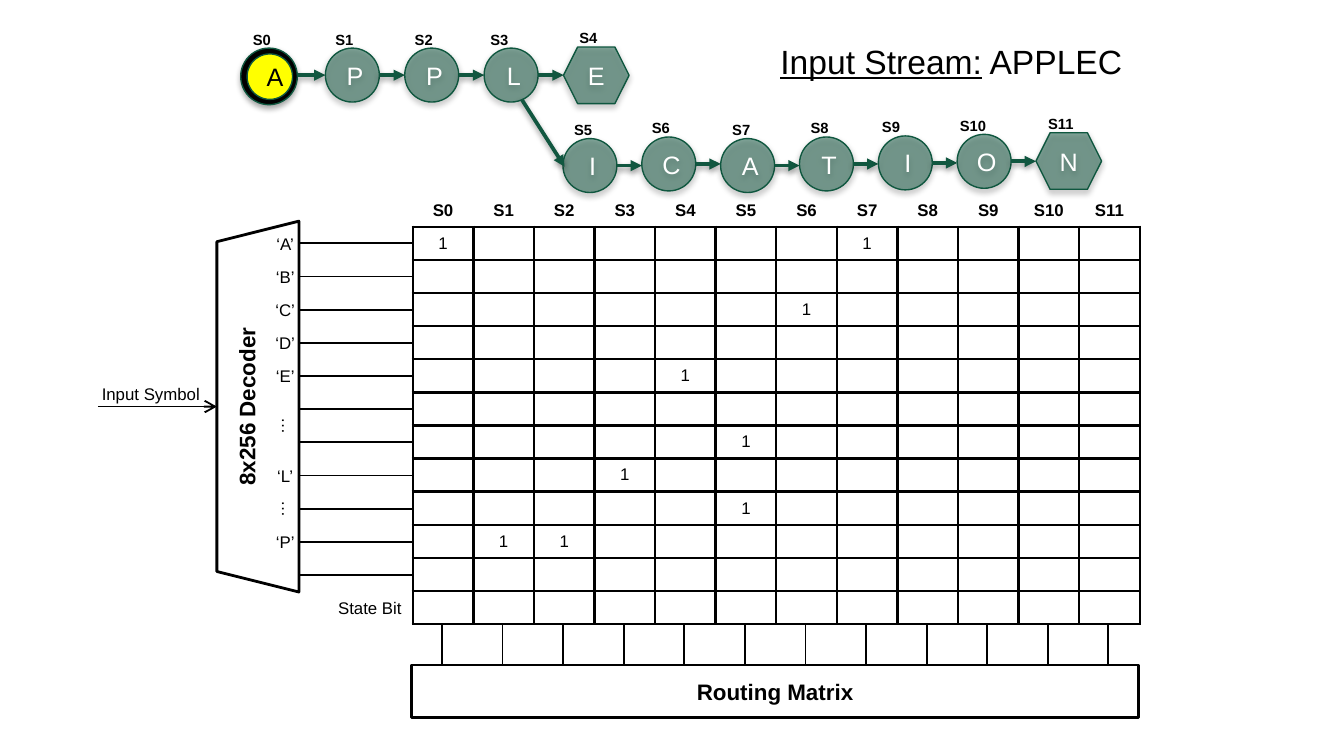
from lxml.etree import SubElement
from pptx import Presentation
from pptx.dml.color import RGBColor
from pptx.enum.shapes import MSO_CONNECTOR, MSO_SHAPE as SHAPE
from pptx.enum.text import MSO_ANCHOR as ANCHOR, PP_ALIGN as ALIGN
from pptx.oxml.ns import qn
from pptx.util import Cm, Pt

BLACK = RGBColor(0x00, 0x00, 0x00)
WHITE = RGBColor(0xFF, 0xFF, 0xFF)
YELLOW = RGBColor(0xFF, 0xFF, 0x00)
GREEN = RGBColor(0x11, 0x57, 0x40)
DARK_GREEN = RGBColor(0x0F, 0x57, 0x3F)

FONT = "Arial"
PLAIN_STYLE = "{2D5ABB26-0587-4C30-8999-92F81FD0307C}"
STATES = 12
ROWS = 13
ROW = 8.15 / ROWS
NODE = 1.02
HEX_W, HEX_H = 1.24, 1.07

UPPER = [("P", 0, 0.36), ("P", 0, 0.36), ("L", 0, 0.29), ("E", -0.02, 0.47)]
LOWER = [("I", 1.71, 0.38), ("C", 1.68, 0.36), ("A", 1.71, 0.39), ("T", 1.68, 0.38),
         ("I", 1.66, 0.24), ("O", 1.63, 0.3), ("N", 1.6, 0.47)]
ONES = {(1, 0), (1, 7), (3, 6), (5, 4), (7, 5), (8, 3), (9, 5), (10, 1), (10, 2)}
SYMBOLS = {0: "‘A’", 1: "‘B’", 2: "‘C’", 3: "‘D’", 4: "‘E’", 5.5: "…",
           7: "‘L’", 8: "…", 9: "‘P’"}


def add_run(p, text, size, color=BLACK, bold=False):
    """Append a formatted run to a paragraph."""
    r = p.add_run()
    r.text = text
    r.font.name = FONT
    r.font.size = Pt(size)
    r.font.bold = bold
    r.font.color.rgb = color
    return r


def center_text(sp, text, size, color=BLACK, bold=False):
    """Write one centred line in the middle of a shape."""
    tf = sp.text_frame
    tf.word_wrap = False
    tf.vertical_anchor = ANCHOR.MIDDLE
    tf.margin_left = tf.margin_right = tf.margin_top = tf.margin_bottom = 0
    p = tf.paragraphs[0]
    p.alignment = ALIGN.CENTER
    add_run(p, text, size, color, bold)


def add_label(s, cx, cy, w, text, size, bold=False, rotation=0):
    """Add a text box around a centre point."""
    h = 0.6
    sp = s.shapes.add_textbox(Cm(cx - w / 2), Cm(cy - h / 2), Cm(w), Cm(h))
    sp.rotation = rotation
    center_text(sp, text, size, bold=bold)


def add_effects(sp, dist=0, alpha=0):
    """Close the shape properties with an effect list, shadowed if alpha is given."""
    effects = SubElement(sp._element.spPr, qn("a:effectLst"))
    if alpha:
        shadow = SubElement(effects, qn("a:outerShdw"), blurRad="40000", dist=str(dist),
                            dir="5400000", rotWithShape="0")
        color = SubElement(shadow, qn("a:srgbClr"), val=str(BLACK))
        SubElement(color, qn("a:alpha"), val=str(alpha))


def add_line(s, x1, y1, x2, y2, color=BLACK, width=1, head=None, shadow=()):
    """Draw a straight line, with an arrowhead at its end if one is named."""
    c = s.shapes.add_connector(MSO_CONNECTOR.STRAIGHT, Cm(x1), Cm(y1), Cm(x2), Cm(y2))
    c.line.color.rgb = color
    c.line.width = Pt(width)
    if head:
        SubElement(c.line._get_or_add_ln(), qn("a:tailEnd"), type=head)
    add_effects(c, *shadow)


def add_arrow(s, x1, y1, x2, y2):
    """Draw a green transition arrow."""
    add_line(s, x1, y1, x2, y2, GREEN, 2, "triangle", (20000, 38000))


def add_outline(s, kind, x, y, w, h, line=BLACK, width=1.5, fill=None, alpha=None, shadow=()):
    """Add a preset shape with its line, optional fill and shadow."""
    sp = s.shapes.add_shape(kind, Cm(x), Cm(y), Cm(w), Cm(h))
    if fill is None:
        sp.fill.background()
    else:
        sp.fill.solid()
        sp.fill.fore_color.rgb = fill
    if alpha:
        color = sp._element.spPr.find(".//" + qn("a:srgbClr"))
        SubElement(color, qn("a:alpha"), val=str(alpha))
    sp.line.color.rgb = line
    sp.line.width = Pt(width)
    add_effects(sp, *shadow)
    return sp


def draw_chain(s, x, y, pitch, nodes, first_state):
    """Draw a row of state nodes that ends in a hexagon."""
    last = len(nodes) - 1
    for i, (letter, dy, label_dx) in enumerate(nodes):
        left, top = x + i * pitch, y + dy
        kind, w, h = (SHAPE.HEXAGON, HEX_W, HEX_H) if i == last else (SHAPE.OVAL, NODE, NODE)
        sp = add_outline(s, kind, left, top, w, h, DARK_GREEN, 0.75, GREEN, 50000, (23000, 35000))
        center_text(sp, letter, 13.5, WHITE)
        if i < last:
            sp.text_frame.margin_left = Cm(0.1)
            mid = top + NODE / 2
            add_arrow(s, left + NODE, mid, left + pitch, mid)
        add_label(s, left + label_dx, top - 0.17, 1.2, f"S{first_state + i}", 7.9, True)


def draw_automaton(s, x, y):
    """Draw the start state and its two chains from the top left corner."""
    add_outline(s, SHAPE.OVAL, x, y, 1.07, 1.07, DARK_GREEN, 0.75, BLACK, shadow=(23000, 35000))
    start = add_outline(s, SHAPE.OVAL, x + 0.12, y + 0.11, 0.86, 0.86, DARK_GREEN, 0.75, YELLOW)
    center_text(start, "A", 13.5)
    start.text_frame.margin_left = Cm(0.2)
    add_label(s, x + 0.4, y - 0.16, 1.2, "S0", 7.9, True)
    add_arrow(s, x + 1.09, y + NODE / 2, x + 1.6, y + NODE / 2)
    draw_chain(s, x + 1.6, y, 1.5, UPPER, 1)
    draw_chain(s, x + 6.09, y, 1.49, LOWER, 5)
    add_arrow(s, x + 5.31, y + 0.97, x + 6.12, y + 2.24)


def format_cell(cell, text, header):
    """Set a grid cell's text, insets and borders."""
    cell.fill.background()
    cell.vertical_anchor = ANCHOR.MIDDLE
    cell.margin_left = cell.margin_right = Cm(0.15)
    cell.margin_top = cell.margin_bottom = Cm(0.08)
    p = cell.text_frame.paragraphs[0]
    p.alignment = ALIGN.CENTER
    if text:
        add_run(p, text, 9, bold=header)
    else:
        SubElement(p._p, qn("a:endParaRPr"), sz="900")
    props = cell._tc.get_or_add_tcPr()
    for i, side in enumerate(["lnB"] if header else ["lnL", "lnR", "lnT", "lnB"]):
        ln = SubElement(props, qn(f"a:{side}"), w=str(Pt(1.5)))
        SubElement(SubElement(ln, qn("a:solidFill")), qn("a:srgbClr"), val=str(BLACK))
        props.insert(i, ln)


def draw_grid(s, x, y, w, h):
    """Draw the state table and the name of its last row."""
    table = s.shapes.add_table(ROWS, STATES, Cm(x), Cm(y), Cm(w), Cm(h)).table
    table.first_row = table.horz_banding = False
    table._tbl.tblPr.find(qn("a:tableStyleId")).text = PLAIN_STYLE
    for col in table.columns:
        col.width = Cm(w / STATES)
    for i, row in enumerate(table.rows):
        row.height = Cm(h / ROWS)
        for j, cell in enumerate(row.cells):
            text = f"S{j}" if i == 0 else "1" if (i, j) in ONES else ""
            format_cell(cell, text, i == 0)
    add_label(s, x - 0.81, y + h - ROW / 2, 1.7, "State Bit", 9)


def draw_decoder(s, x, y, w, h):
    """Draw the decoder with its input on the left and row lines on the right."""
    body_x, body_w = x + 2.25, 1.55
    mid = y + h / 2
    body = add_outline(s, SHAPE.TRAPEZOID, body_x + (body_w - h) / 2, mid - body_w / 2, h, body_w)
    body.rotation = 270
    add_line(s, x, mid, body_x, mid, head="arrow")
    add_label(s, x + 1, mid - 0.25, 2.4, "Input Symbol", 9)
    add_label(s, body_x + 0.56, mid, 3.5, "8x256 Decoder", 12, True, 270)
    first = y + 0.42
    for i in range(STATES - 1):
        add_line(s, body_x + body_w, first + i * ROW, x + w, first + i * ROW)
    for i, symbol in SYMBOLS.items():
        dots = symbol == "…"
        add_label(s, body_x + (1.14 if dots else 1.29), first + i * ROW, 0.9, symbol, 9,
                  rotation=270 if dots else 0)


def draw_routing(s, x, y, w, h):
    """Draw the routing box below a line from each table column."""
    gap, col = 0.76, w / STATES
    for i in range(STATES):
        cx = x + (i + 0.5) * col
        add_line(s, cx, y + gap, cx, y)
    box = add_outline(s, SHAPE.RECTANGLE, x, y + gap, w, h - gap)
    center_text(box, "Routing Matrix", 12, bold=True)


def draw_title(s, x, y, w, h):
    """Write the input stream heading."""
    tf = s.shapes.add_textbox(Cm(x), Cm(y), Cm(w), Cm(h)).text_frame
    tf.word_wrap = False
    p = tf.paragraphs[0]
    add_run(p, "Input Stream:", 18).font.underline = True
    add_run(p, " APPLEC", 18)


def main():
    """Build the slide and save it."""
    prs = Presentation()
    prs.slide_width, prs.slide_height = Cm(25.4), Cm(14.29)
    s = prs.slides.add_slide(prs.slide_layouts[6])
    draw_grid(s, 7.8, 3.66, 13.74, 8.15)
    draw_decoder(s, 1.85, 4.18, 5.95, 7.01)
    draw_routing(s, 7.78, 11.81, 13.74, 1.75)
    draw_automaton(s, 4.55, 0.91)
    draw_title(s, 14.5, 0.64, 7.04, 1.02)
    prs.save("out.pptx")


if __name__ == "__main__":
    main()
